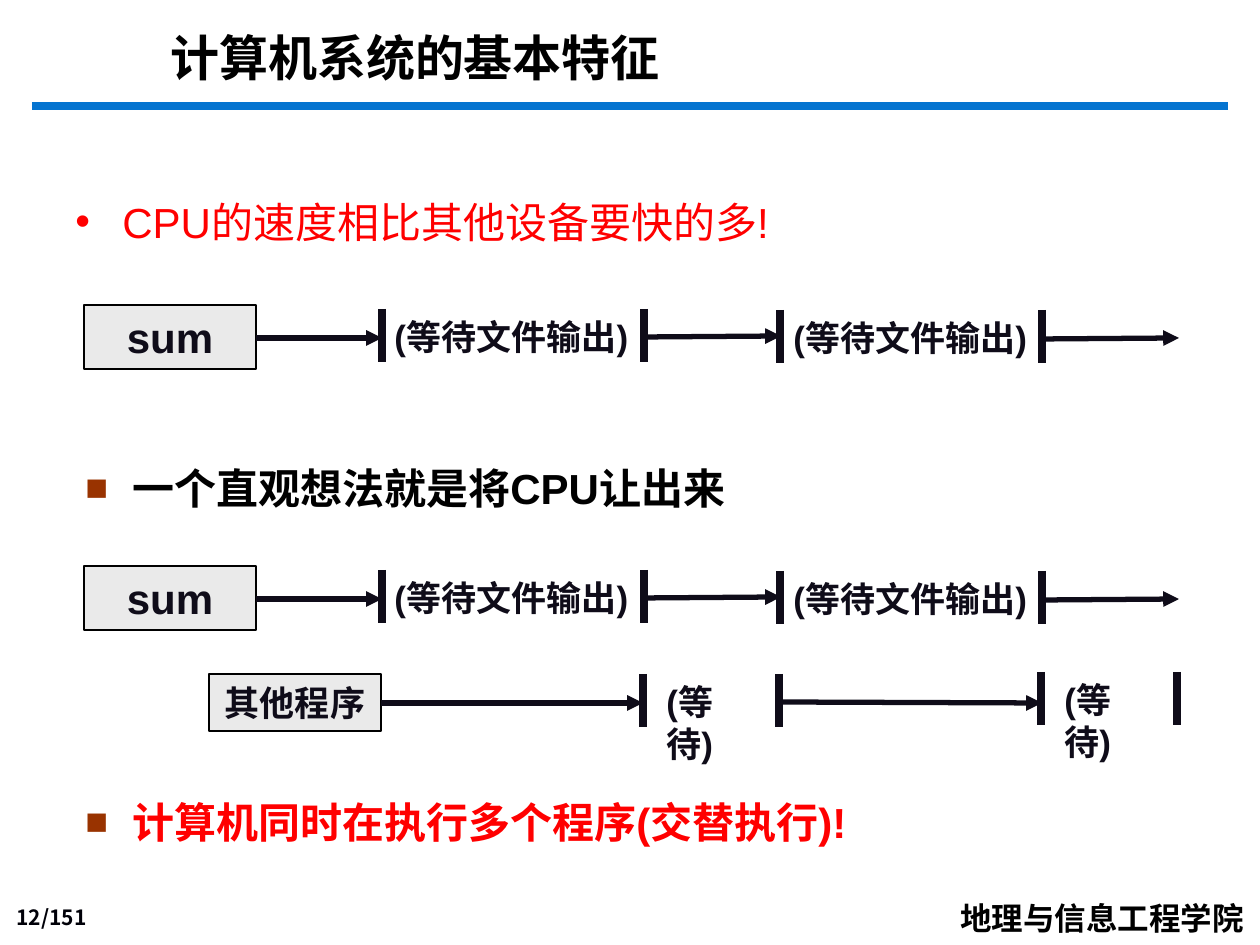
"""Build a slide about sharing the CPU between programs while they wait."""

import dataclasses
import typing

import lxml.etree
import pptx
import pptx.dml.color
import pptx.enum.dml
import pptx.enum.shapes
import pptx.enum.text
import pptx.oxml.ns
import pptx.util

PX_PER_INCH = 126
BLACK = pptx.dml.color.RGBColor(0x00, 0x00, 0x00)
PAGE_INK = pptx.dml.color.RGBColor(0x00, 0x00, 0x08)
INK = pptx.dml.color.RGBColor(0x0F, 0x0C, 0x19)
RED = pptx.dml.color.RGBColor(0xFF, 0x00, 0x00)
BLUE = pptx.dml.color.RGBColor(0x05, 0x74, 0xD0)
BROWN = pptx.dml.color.RGBColor(0x99, 0x33, 0x00)
GREY = pptx.dml.color.RGBColor(0xEA, 0xEA, 0xEA)
ALIGN = pptx.enum.text.PP_ALIGN
ANCHOR = pptx.enum.text.MSO_ANCHOR


@dataclasses.dataclass(frozen=True)
class Box:
    left: int
    top: int
    width: int
    height: int


@dataclasses.dataclass(frozen=True)
class Style:
    size: int
    color: pptx.dml.color.RGBColor
    bold: bool = True
    font: str = "Arial"


@dataclasses.dataclass(frozen=True)
class Arrow:
    start: tuple[int, int]
    end: tuple[int, int]


@dataclasses.dataclass(frozen=True)
class Timeline:
    program: str
    size: int
    box: Box
    arrows: list[Arrow]
    bars: list[tuple[int, int]]
    wait: str
    waits: list[Box]


@dataclasses.dataclass(frozen=True)
class Bullet:
    text: str
    box: Box
    style: Style
    mark: str
    mark_color: pptx.dml.color.RGBColor
    mark_percent: int


BAR_HEIGHT = 53
WAIT_STYLE = Style(20, INK)


def px(value: int) -> int:
    """Turn pixels into EMU."""
    return round(value * 914400 / PX_PER_INCH)


def place(box: Box) -> tuple[int, int, int, int]:
    """Return the EMU position and size of a box."""
    return px(box.left), px(box.top), px(box.width), px(box.height)


def write(shape: typing.Any, text: str, style: Style, align: ALIGN = ALIGN.LEFT,
          anchor: ANCHOR = ANCHOR.TOP, wrap: bool = True) -> None:
    """Put one styled paragraph in a shape."""
    frame = shape.text_frame
    frame.text = text
    frame.word_wrap = wrap
    frame.vertical_anchor = anchor
    paragraph = frame.paragraphs[0]
    paragraph.alignment = align
    for run in paragraph.runs:
        run.font.size = pptx.util.Pt(style.size)
        run.font.bold = style.bold
        run.font.color.rgb = style.color
        run.font.name = style.font
        latin = run.font._element.find(pptx.oxml.ns.qn("a:latin"))
        east_asian = lxml.etree.Element(pptx.oxml.ns.qn("a:ea"), typeface=style.font)
        latin.addnext(east_asian)


def add_text(slide: typing.Any, box: Box, text: str, style: Style, **layout: typing.Any) -> typing.Any:
    """Add a text box and return it."""
    shape = slide.shapes.add_textbox(*place(box))
    write(shape, text, style, **layout)
    return shape


def add_line(slide: typing.Any, start: tuple[int, int], end: tuple[int, int],
             color: pptx.dml.color.RGBColor, width: float, arrow: bool = False) -> None:
    """Add a straight line, with an arrowhead at its end if asked."""
    connector = slide.shapes.add_connector(
        pptx.enum.shapes.MSO_CONNECTOR.STRAIGHT, *map(px, start + end))
    connector.line.color.rgb = color
    connector.line.width = pptx.util.Pt(width)
    if arrow:
        line = connector.line._get_or_add_ln()
        lxml.etree.SubElement(line, pptx.oxml.ns.qn("a:tailEnd"), type="triangle")
    lxml.etree.SubElement(connector._element.spPr, pptx.oxml.ns.qn("a:effectLst"))


def add_bullet(slide: typing.Any, bullet: Bullet) -> None:
    """Add a one-line bulleted text box."""
    shape = add_text(slide, bullet.box, bullet.text, bullet.style)
    paragraph = shape.text_frame.paragraphs[0]
    paragraph.line_spacing = 1.3
    properties = paragraph._p.get_or_add_pPr()
    properties.set("marL", str(px(47)))
    properties.set("indent", str(px(-47)))
    color = lxml.etree.SubElement(properties, pptx.oxml.ns.qn("a:buClr"))
    lxml.etree.SubElement(color, pptx.oxml.ns.qn("a:srgbClr"), val=str(bullet.mark_color))
    lxml.etree.SubElement(properties, pptx.oxml.ns.qn("a:buSzPct"), val=str(bullet.mark_percent * 1000))
    lxml.etree.SubElement(properties, pptx.oxml.ns.qn("a:buFont"), typeface="Arial")
    lxml.etree.SubElement(properties, pptx.oxml.ns.qn("a:buChar"), char=bullet.mark)


def add_timeline(slide: typing.Any, timeline: Timeline) -> None:
    """Draw a program box, its running arrows and its waiting spans."""
    shape = slide.shapes.add_shape(pptx.enum.shapes.MSO_SHAPE.RECTANGLE, *place(timeline.box))
    shape.shadow.inherit = False
    shape.fill.solid()
    shape.fill.fore_color.rgb = GREY
    shape.line.color.rgb = BLACK
    shape.line.width = pptx.util.Pt(1)
    write(shape, timeline.program, Style(timeline.size, INK), ALIGN.CENTER, ANCHOR.MIDDLE)
    for box in timeline.waits:
        add_text(slide, box, timeline.wait, WAIT_STYLE)
    for arrow in timeline.arrows:
        add_line(slide, arrow.start, arrow.end, INK, 3, arrow=True)
    for left, top in timeline.bars:
        add_line(slide, (left, top), (left, top + BAR_HEIGHT), INK, 4.5)


def sum_timeline(top: int) -> Timeline:
    """Describe the sum program's timeline from its top edge."""
    return Timeline(
        "sum", 24, Box(84, top, 172, 64),
        [Arrow((256, top + 33), (382, top + 33)),
         Arrow((644, top + 32), (781, top + 31)),
         Arrow((1042, top + 34), (1179, top + 33))],
        [(382, top + 4), (644, top + 4), (780, top + 5), (1042, top + 5)],
        "(等待文件输出)",
        [Box(382, top + 4, 260, 54), Box(781, top + 5, 260, 54)])


OTHER_TIMELINE = Timeline(
    "其他程序", 20, Box(209, 674, 172, 57),
    [Arrow((381, 703), (643, 703)), Arrow((779, 702), (1042, 703))],
    [(643, 674), (779, 674), (1041, 672), (1177, 672)],
    "(等待)",
    [Box(654, 674, 118, 54), Box(1052, 672, 118, 54)])

BULLETS = [
    Bullet("CPU的速度相比其他设备要快的多!", Box(63, 175, 1091, 120),
           Style(24, RED, bold=False), "•", RED, 100),
    Bullet("一个直观想法就是将CPU让出来", Box(73, 441, 1091, 120),
           Style(24, BLACK), "■", BROWN, 90),
    Bullet("计算机同时在执行多个程序(交替执行)!", Box(73, 775, 1091, 76),
           Style(24, RED), "■", BROWN, 90),
]


def main() -> None:
    """Build and save the slide."""
    presentation = pptx.Presentation()
    presentation.slide_width = px(1260)
    presentation.slide_height = px(945)
    slide = presentation.slides.add_slide(presentation.slide_layouts[6])
    add_line(slide, (32, 106), (1228, 106), BLUE, 4.5)
    add_text(slide, Box(0, 900, 99, 36), "12/151",
             Style(12, PAGE_INK, font="Noto Sans CJK JP"), align=ALIGN.RIGHT, anchor=ANCHOR.BOTTOM)
    add_text(slide, Box(948, 893, 311, 50), "地理与信息工程学院",
             Style(18, BLACK, font="Noto Sans CJK SC"), wrap=False)
    add_text(slide, Box(158, 18, 815, 77), "计算机系统的基本特征",
             Style(28, BLACK), anchor=ANCHOR.MIDDLE)
    for bullet in BULLETS:
        add_bullet(slide, bullet)
    for timeline in (sum_timeline(305), sum_timeline(566), OTHER_TIMELINE):
        add_timeline(slide, timeline)
    presentation.save("out.pptx")


if __name__ == "__main__":
    main()
